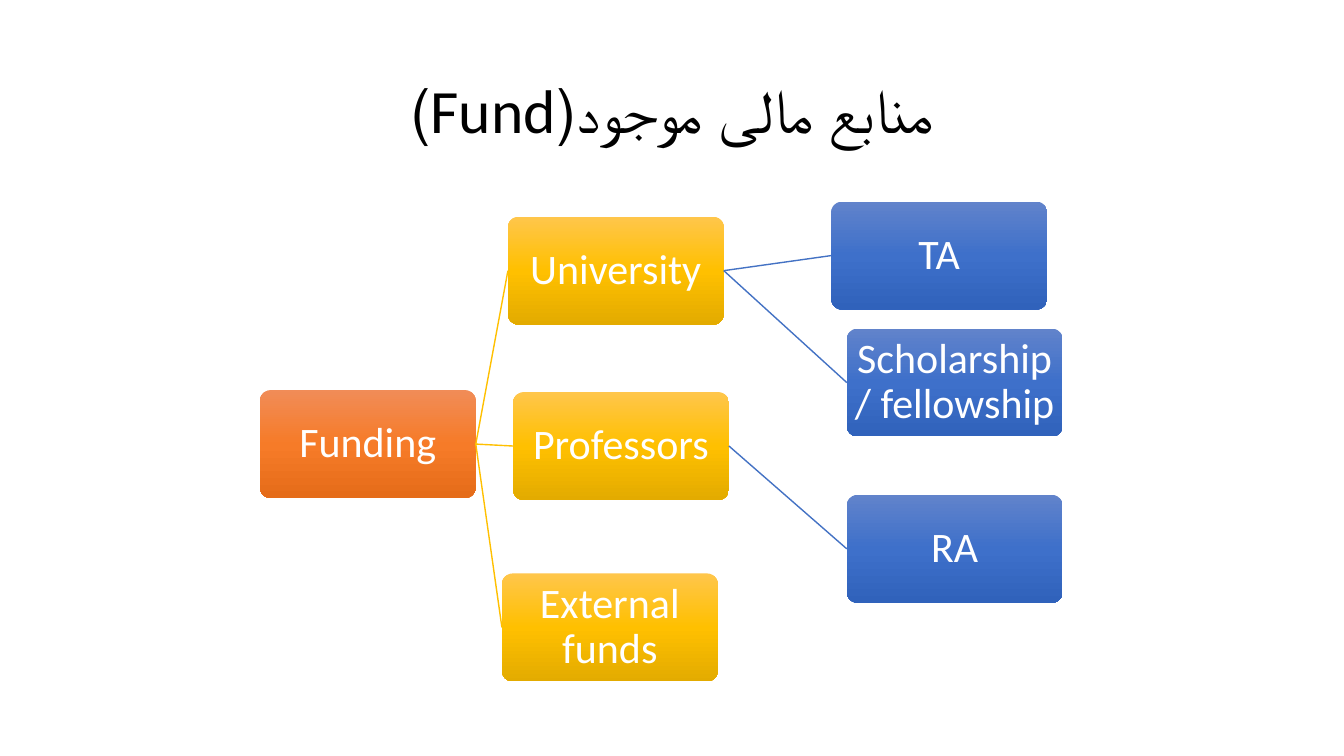
from copy import deepcopy

from lxml.etree import SubElement
from pptx import Presentation
from pptx.dml.color import RGBColor
from pptx.enum.shapes import MSO_CONNECTOR as Connector, MSO_SHAPE as Shape
from pptx.enum.text import MSO_ANCHOR as Anchor, PP_ALIGN as Align
from pptx.oxml.ns import qn
from pptx.util import Cm, Pt

FONT = "Calibri"
NODE_WIDTH, NODE_HEIGHT = 5.44, 2.72
LEFT_SITE, RIGHT_SITE = 1, 3
LEVEL_GRADIENTS = [
    ("F18C57", "F67B28", "E56C19"),
    ("FFC64B", "FFC000", "E3AB00"),
    ("6183CB", "3E70CA", "3062BB"),
]
LEVEL_LINES = [None, "FFC000", "4472C4"]
FUNDING_TREE = [
    ("Funding", None, 0, 0, 4.75),
    ("University", "Funding", 1, 6.25, 0.38),
    ("TA", "University", 2, 14.4, 0),
    ("Scholarship / fellowship", "University", 2, 14.79, 3.2),
    ("Professors", "Funding", 1, 6.38, 4.8),
    ("RA", "Professors", 2, 14.79, 7.39),
    ("External funds", "Funding", 1, 6.1, 9.37),
]


def color(value):
    return RGBColor.from_string(value)


def write_text(frame, text, size, text_color):
    frame.word_wrap = True
    frame.vertical_anchor = Anchor.MIDDLE
    paragraph = frame.paragraphs[0]
    paragraph.text = text
    paragraph.alignment = Align.CENTER
    paragraph.line_spacing = 0.9
    paragraph.font.name = FONT
    paragraph.font.size = Pt(size)
    paragraph.font.color.rgb = color(text_color)
    return paragraph


def fill_gradient(node, gradient):
    node.fill.gradient()
    node.fill.gradient_angle = 270
    stop_list = node.element.find(".//" + qn("a:gsLst"))
    stop_list.insert(1, deepcopy(stop_list[0]))
    for index, (stop, shade) in enumerate(zip(node.fill.gradient_stops, gradient)):
        stop.position = index / 2
        stop.color.rgb = color(shade)


def add_title(slide, left, top, width, height):
    title = slide.shapes.add_textbox(Cm(left), Cm(top), Cm(width), Cm(height))
    paragraph = write_text(title.text_frame, "منابع مالی موجود(Fund)", 44, "000000")
    paragraph._p.get_or_add_pPr().set("rtl", "1")


def add_node(slide, text, level, left, top):
    node = slide.shapes.add_shape(
        Shape.ROUNDED_RECTANGLE, Cm(left), Cm(top), Cm(NODE_WIDTH), Cm(NODE_HEIGHT)
    )
    node.adjustments[0] = 0.1
    node.shadow.inherit = False
    node.line.fill.background()
    fill_gradient(node, LEVEL_GRADIENTS[level])
    frame = node.text_frame
    frame.margin_left = frame.margin_right = Cm(0.05)
    frame.margin_top = frame.margin_bottom = Cm(0.05)
    write_text(frame, text, 30, "FFFFFF")
    return node


def add_branch(slide, parent, child, line_color):
    branch = slide.shapes.add_connector(Connector.STRAIGHT, 0, 0, 0, 0)
    branch.begin_connect(parent, RIGHT_SITE)
    branch.end_connect(child, LEFT_SITE)
    branch.line.color.rgb = color(line_color)
    branch.line.width = Pt(1)
    SubElement(branch.element.spPr, qn("a:effectLst"))


def add_funding_tree(slide, left, top):
    nodes = {}
    for text, parent, level, across, down in FUNDING_TREE:
        nodes[text] = add_node(slide, text, level, left + across, top + down)
        if parent:
            add_branch(slide, nodes[parent], nodes[text], LEVEL_LINES[level])


def main():
    deck = Presentation()
    deck.slide_width, deck.slide_height = Cm(33.87), Cm(19.05)
    slide = deck.slides.add_slide(deck.slide_layouts[6])
    add_title(slide, 2.33, 1.01, 29.21, 3.68)
    add_funding_tree(slide, 6.55, 5.08)
    deck.save("out.pptx")


if __name__ == "__main__":
    main()
